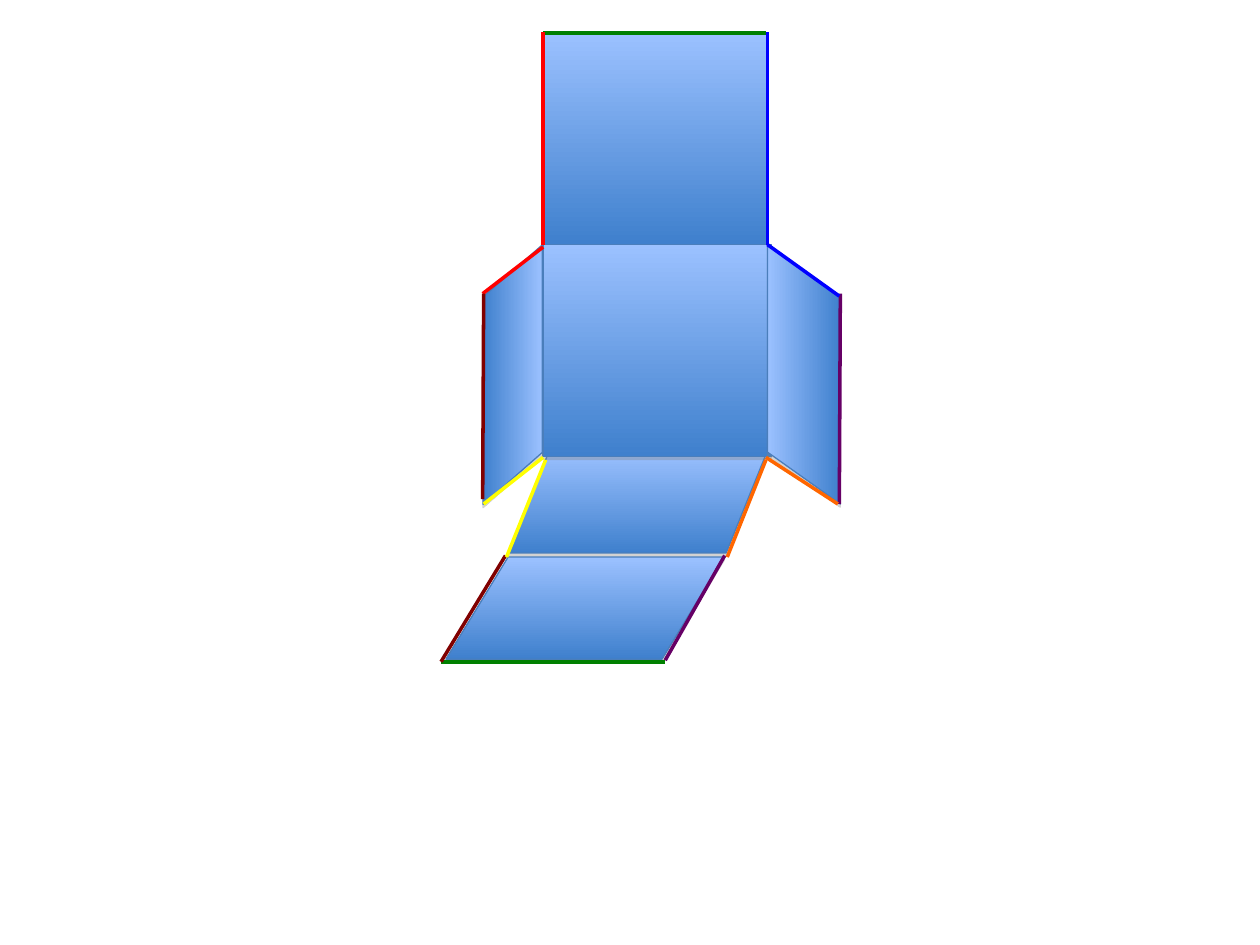
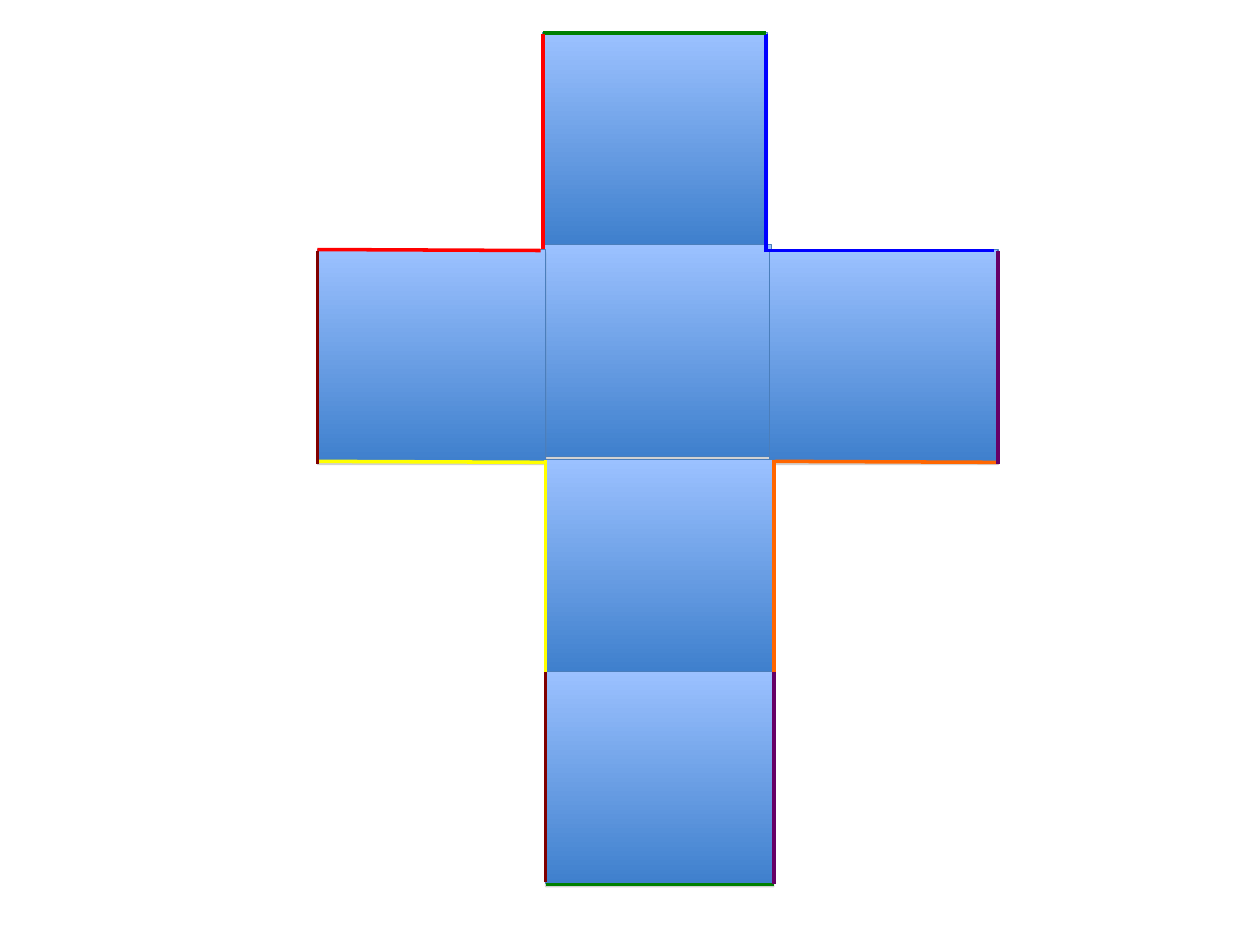
from dataclasses import dataclass

import pptx
import pptx.dml.color
import pptx.enum.shapes
import pptx.oxml
import pptx.oxml.ns
import pptx.util

Cm = pptx.util.Cm
Pt = pptx.util.Pt
Preset = pptx.enum.shapes.MSO_SHAPE

COLORS = {
    "face_light": "9BC1FF",
    "face_dark": "3F80CD",
    "fold": "4A7EBB",
    "shadow": "808080",
    "red": "FF0000",
    "green": "008000",
    "blue": "0000FF",
    "purple": "660066",
    "maroon": "800000",
    "yellow": "FFFF00",
    "orange": "FF6600",
}
FOLD_WIDTH, EDGE_WIDTH = 0.75, 2
SIDE, HEIGHT = 4.6, 4.27
FLAP_LENGTH = 5.23
TILT_HEIGHT = 2.06
SHADOW_XML = (
    f'<a:outerShdw {pptx.oxml.ns.nsdecls("a")} blurRad="0" dist="{Pt(1.8)}" '
    'dir="5400000" rotWithShape="0">'
    f'<a:srgbClr val="{COLORS["shadow"]}"><a:alpha val="35000"/></a:srgbClr>'
    "</a:outerShdw>"
)


@dataclass(frozen=True)
class Face:
    left: float
    top: float
    width: float = SIDE
    height: float = HEIGHT
    preset: Preset = Preset.FLOWCHART_PROCESS
    slant: float | None = None
    rotation: int = 0
    flipped: bool = False
    shading_angle: int = 90


@dataclass(frozen=True)
class Edge:
    color: str
    x1: float
    y1: float
    x2: float
    y2: float


TOP_FACE = Face(10.95, 0.66, width=4.52)
MIDDLE_FACE = Face(10.95, 4.93)

FOLDING_NET = [
    Face(10.24, 9.09, FLAP_LENGTH, TILT_HEIGHT, Preset.PARALLELOGRAM, slant=0.404),
    Face(8.99, 11.23, 5.61, TILT_HEIGHT, Preset.PARALLELOGRAM, slant=0.609),
    TOP_FACE,
    MIDDLE_FACE,
    Face(7.72, 6.96, FLAP_LENGTH, 1.19, Preset.FLOWCHART_DATA,
         rotation=90, flipped=True, shading_angle=180),
    Face(13.59, 6.81, FLAP_LENGTH, 1.47, Preset.FLOWCHART_DATA,
         rotation=90, shading_angle=0),
    Edge("red", 10.95, 4.98, 9.73, 5.92),
    Edge("green", 8.89, 13.34, 13.41, 13.34),
    Edge("blue", 15.47, 4.93, 15.47, 0.64),
    Edge("green", 10.95, 0.66, 15.44, 0.66),
    Edge("red", 10.95, 4.93, 10.95, 0.64),
    Edge("purple", 16.92, 10.16, 16.94, 5.92),
    Edge("maroon", 9.73, 10.06, 9.75, 5.92),
    Edge("purple", 13.41, 13.31, 14.61, 11.2),
    Edge("maroon", 8.89, 13.34, 10.19, 11.2),
    Edge("yellow", 10.95, 9.22, 9.75, 10.16),
    Edge("yellow", 11, 9.27, 10.21, 11.23),
    Edge("orange", 15.44, 9.27, 14.66, 11.23),
    Edge("blue", 15.47, 4.93, 16.92, 5.97),
    Edge("orange", 15.44, 9.22, 16.89, 10.16),
]

FLAT_NET = [
    TOP_FACE,
    MIDDLE_FACE,
    Edge("blue", 15.44, 5.08, 15.44, 0.69),
    Edge("green", 10.95, 0.66, 15.44, 0.66),
    Edge("red", 10.95, 5.08, 10.95, 0.69),
    Face(15.52, 5.03),
    Face(6.4, 5.03),
    Face(11, 9.27),
    Face(11, 9.27 + HEIGHT),
    Edge("red", 6.4, 5.03, 10.9, 5.05),
    Edge("blue", 15.44, 5.05, 20.04, 5.05),
    Edge("orange", 15.62, 9.3, 20.12, 9.32),
    Edge("yellow", 6.4, 9.3, 11, 9.32),
    Edge("green", 11, 17.83, 15.6, 17.83),
    Edge("maroon", 6.4, 9.35, 6.4, 5.05),
    Edge("purple", 20.12, 9.35, 20.12, 5.05),
    Edge("orange", 15.6, 13.54, 15.6, 9.27),
    Edge("purple", 15.6, 17.83, 15.6, 13.54),
    Edge("maroon", 11, 17.78, 11, 13.49),
    Edge("yellow", 11, 13.54, 11, 9.27),
]


def rgb(name: str) -> pptx.dml.color.RGBColor:
    return pptx.dml.color.RGBColor.from_string(COLORS[name])


def style_line(line, color: str, width: float) -> None:
    line.color.rgb = rgb(color)
    line.width = Pt(width)


def draw_face(slide, face: Face) -> None:
    shape = slide.shapes.add_shape(
        face.preset, Cm(face.left), Cm(face.top), Cm(face.width), Cm(face.height))
    if face.slant is not None:
        shape.adjustments[0] = face.slant
    shape.rotation = face.rotation
    properties = shape.element.spPr
    if face.flipped:
        properties.find(pptx.oxml.ns.qn("a:xfrm")).set("flipV", "1")
    shape.fill.gradient()
    shape.fill.gradient_angle = -face.shading_angle % 360
    for stop, color in zip(shape.fill.gradient_stops, ("face_light", "face_dark")):
        stop.color.rgb = rgb(color)
    properties.find(pptx.oxml.ns.qn("a:gradFill")).set("rotWithShape", "0")
    style_line(shape.line, "fold", FOLD_WIDTH)
    shape.shadow.inherit = False
    effects = properties.find(pptx.oxml.ns.qn("a:effectLst"))
    effects.append(pptx.oxml.parse_xml(SHADOW_XML))


def draw_edge(slide, edge: Edge) -> None:
    connector = slide.shapes.add_connector(
        pptx.enum.shapes.MSO_CONNECTOR.STRAIGHT,
        Cm(edge.x1), Cm(edge.y1), Cm(edge.x2), Cm(edge.y2))
    style_line(connector.line, edge.color, EDGE_WIDTH)
    connector.element.spPr.append(pptx.oxml.parse_xml(
        f'<a:effectLst {pptx.oxml.ns.nsdecls("a")}/>'))


def draw_net(deck, net: list[Face | Edge]) -> None:
    slide = deck.slides.add_slide(deck.slide_layouts[6])
    for part in net:
        if isinstance(part, Face):
            draw_face(slide, part)
        else:
            draw_edge(slide, part)


def main() -> None:
    deck = pptx.Presentation()
    deck.slide_width, deck.slide_height = Cm(25.4), Cm(19.05)
    for net in (FOLDING_NET, FLAT_NET):
        draw_net(deck, net)
    deck.save("out.pptx")


if __name__ == "__main__":
    main()
